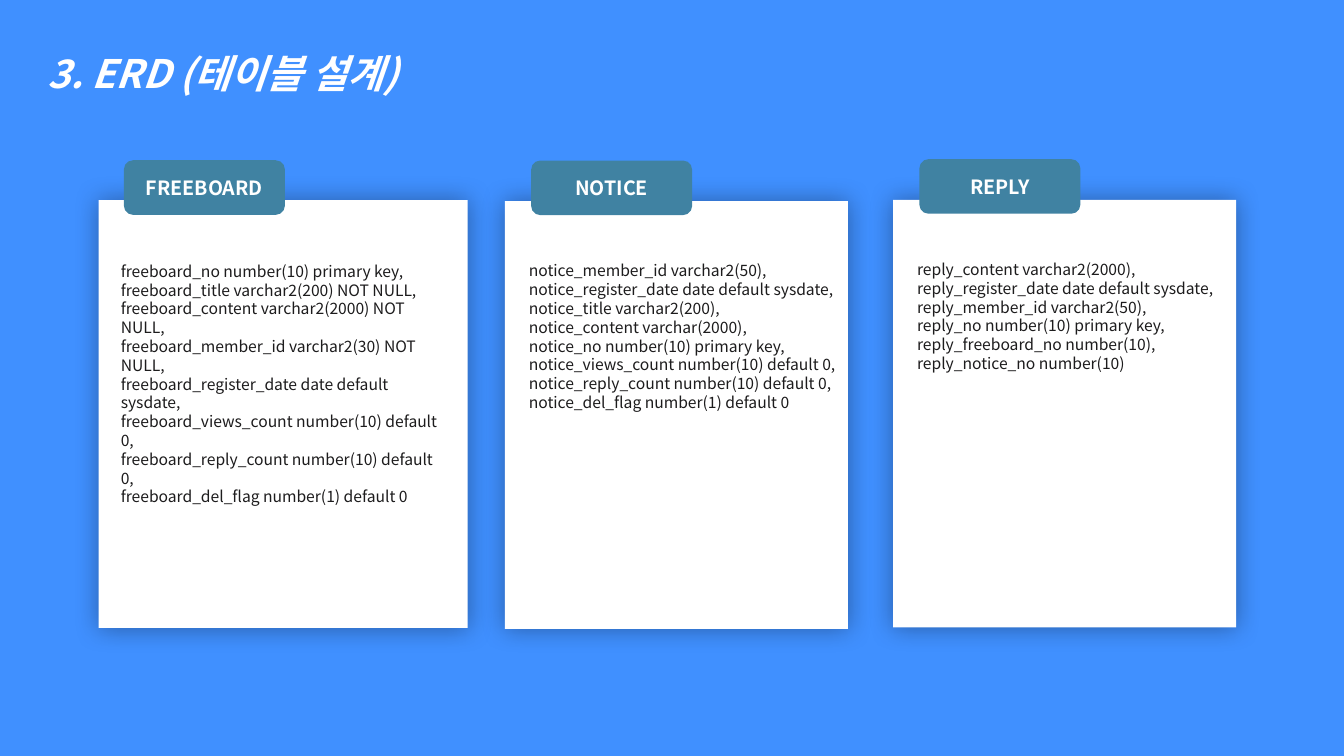
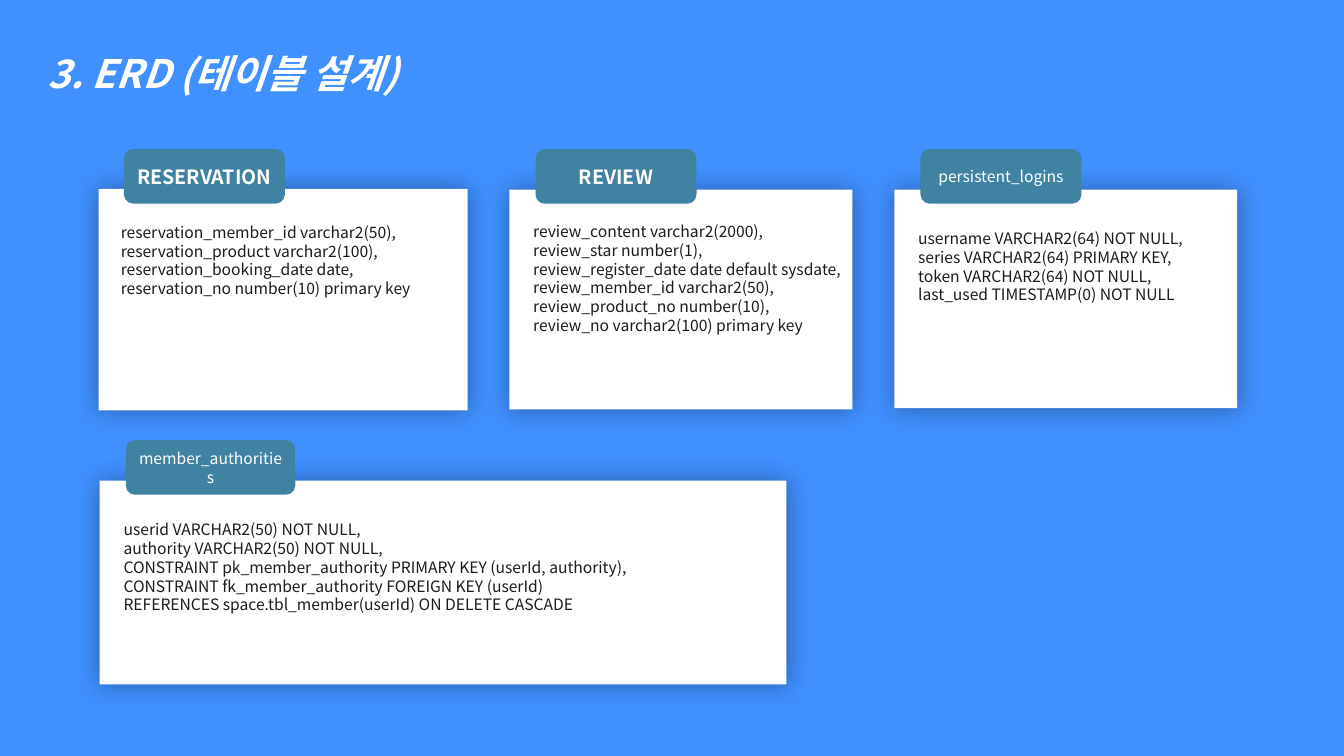
from lxml import etree
from pptx import Presentation
from pptx.dml.color import RGBColor
from pptx.enum import shapes, text
from pptx.oxml.ns import qn
from pptx.util import Pt

FONT = "Noto Sans CJK KR"
BLUE, TEAL, WHITE, INK, BLACK = "4090FF", "4082A2", "FFFFFF", "1D1C1D", "000000"
TITLE = "3. ERD (테이블 설계)"
TITLE_BOX = (26.5, 14.5, 349, 98)
TAB_HEIGHT = 39
LINE_HEIGHT = 13.5

SLIDES = [
    [
        dict(name="FREEBOARD", panel=(70.5, 143, 263.5, 305.5), tab=(18, -28.5, 115),
             body=(8.7, 40.3, 247), columns=[
                 "freeboard_no number(10) primary key,",
                 "freeboard_title varchar2(200) NOT NULL,",
                 "freeboard_content varchar2(2000) NOT NULL,",
                 "freeboard_member_id varchar2(30) NOT NULL,",
                 "freeboard_register_date date default sysdate,",
                 "freeboard_views_count number(10) default 0,",
                 "freeboard_reply_count number(10) default 0,",
                 "freeboard_del_flag number(1) default 0"]),
        dict(name="NOTICE", panel=(360.7, 143.7, 245, 305.5), tab=(18.7, -29, 115),
             body=(10, 39.3, 247), columns=[
                 "notice_member_id varchar2(50),",
                 "notice_register_date date default sysdate,",
                 "notice_title varchar2(200),",
                 "notice_content varchar(2000),",
                 "notice_no number(10) primary key,",
                 "notice_views_count number(10) default 0,",
                 "notice_reply_count number(10) default 0,",
                 "notice_del_flag number(1) default 0"]),
        dict(name="REPLY", panel=(638, 142.7, 245, 305.5), tab=(18.7, -29, 115),
             body=(10, 39.3, 247), columns=[
                 "reply_content varchar2(2000),",
                 "reply_register_date date default sysdate,",
                 "reply_member_id varchar2(50),",
                 "reply_no number(10) primary key,",
                 "reply_freeboard_no number(10),",
                 "reply_notice_no number(10)"]),
    ],
    [
        dict(name="RESERVATION", panel=(70.5, 134.9, 263.5, 158.2), tab=(18, -28.5, 115),
             body=(8.7, 20.6, 247), columns=[
                 "reservation_member_id varchar2(50),",
                 "reservation_product varchar2(100),",
                 "reservation_booking_date date,",
                 "reservation_no number(10) primary key"]),
        dict(name="REVIEW", panel=(363.8, 135.5, 245, 157), tab=(18.7, -29, 115),
             body=(10, 19.4, 247), columns=[
                 "review_content varchar2(2000),",
                 "review_star number(1),",
                 "review_register_date date default sysdate,",
                 "review_member_id varchar2(50),",
                 "review_product_no number(10),",
                 "review_no varchar2(100) primary key"]),
        dict(name="persistent_logins", panel=(638.8, 135.5, 245, 156), tab=(18.7, -29, 115),
             body=(10, 24.4, 247), columns=[
                 "username VARCHAR2(64) NOT NULL,",
                 "series VARCHAR2(64) PRIMARY KEY,",
                 "token VARCHAR2(64) NOT NULL,",
                 "last_used TIMESTAMP(0) NOT NULL"]),
        dict(name="member_authorities", panel=(71.2, 343.4, 490.5, 145.6), tab=(18.7, -29, 121),
             body=(10, 24.5, 380), columns=[
                 "userid VARCHAR2(50) NOT NULL,",
                 "authority VARCHAR2(50) NOT NULL,",
                 "CONSTRAINT pk_member_authority PRIMARY KEY (userId, authority),",
                 "CONSTRAINT fk_member_authority FOREIGN KEY (userId)",
                 "REFERENCES space.tbl_member(userId) ON DELETE CASCADE"]),
    ],
]


def rgb(color):
    return RGBColor.from_string(color)


def box(*lengths):
    return [Pt(n) for n in lengths]


def style(tf, size, color, bold=False, italic=False, align=text.PP_ALIGN.LEFT):
    tf.word_wrap = True
    for p in tf.paragraphs:
        p.alignment = align
        for r in p.runs:
            f = r.font
            f.name, f.size, f.bold, f.italic = FONT, Pt(size), bold, italic
            f.color.rgb = rgb(color)
            ea = etree.SubElement(r._r.get_or_add_rPr(), qn("a:ea"))
            ea.set("typeface", FONT)


def add_block(s, kind, bounds, color):
    sp = s.shapes.add_shape(kind, *box(*bounds))
    sp.shadow.inherit = False
    sp.fill.solid()
    sp.fill.fore_color.rgb = rgb(color)
    sp.line.fill.background()
    return sp


def add_glow(sp):
    effects = sp._element.spPr.find(qn("a:effectLst"))
    shadow = etree.SubElement(effects, qn("a:outerShdw"), blurRad=str(Pt(18)),
                              dist="0", dir="0", algn="ctr", rotWithShape="0")
    color = etree.SubElement(shadow, qn("a:srgbClr"), val=BLACK)
    etree.SubElement(color, qn("a:alpha"), val="35000")


def add_title(s):
    sp = s.shapes.title
    sp.left, sp.top, sp.width, sp.height = box(*TITLE_BOX)
    tf = sp.text_frame
    tf.text = TITLE
    tf.vertical_anchor = text.MSO_ANCHOR.TOP
    tf.auto_size = text.MSO_AUTO_SIZE.SHAPE_TO_FIT_TEXT
    style(tf, 28, WHITE, bold=True, italic=True)
    tf.paragraphs[0].line_spacing = 1.5


def add_card(s, name, panel, tab, body, columns):
    x, y = panel[:2]
    add_glow(add_block(s, shapes.MSO_SHAPE.RECTANGLE, panel, WHITE))

    dx, dy, width = tab
    sp = add_block(s, shapes.MSO_SHAPE.ROUNDED_RECTANGLE,
                   (x + dx, y + dy, width, TAB_HEIGHT), TEAL)
    tf = sp.text_frame
    tf.text = name
    tf.vertical_anchor = text.MSO_ANCHOR.MIDDLE
    bold = name.isupper()
    style(tf, 14 if bold else 11.2, WHITE, bold, align=text.PP_ALIGN.CENTER)

    dx, dy, width = body
    height = len(columns) * LINE_HEIGHT + 7.2
    tf = s.shapes.add_textbox(*box(x + dx, y + dy, width, height)).text_frame
    tf.text = "\n".join(columns)
    tf.auto_size = text.MSO_AUTO_SIZE.SHAPE_TO_FIT_TEXT
    style(tf, 11.2, INK)


def main():
    prs = Presentation()
    prs.slide_width, prs.slide_height = box(960, 540)
    fill = prs.slide_master.background.fill
    fill.solid()
    fill.fore_color.rgb = rgb(BLUE)
    for cards in SLIDES:
        s = prs.slides.add_slide(prs.slide_layouts[5])
        add_title(s)
        for card in cards:
            add_card(s, **card)
    prs.save("out.pptx")


if __name__ == "__main__":
    main()
